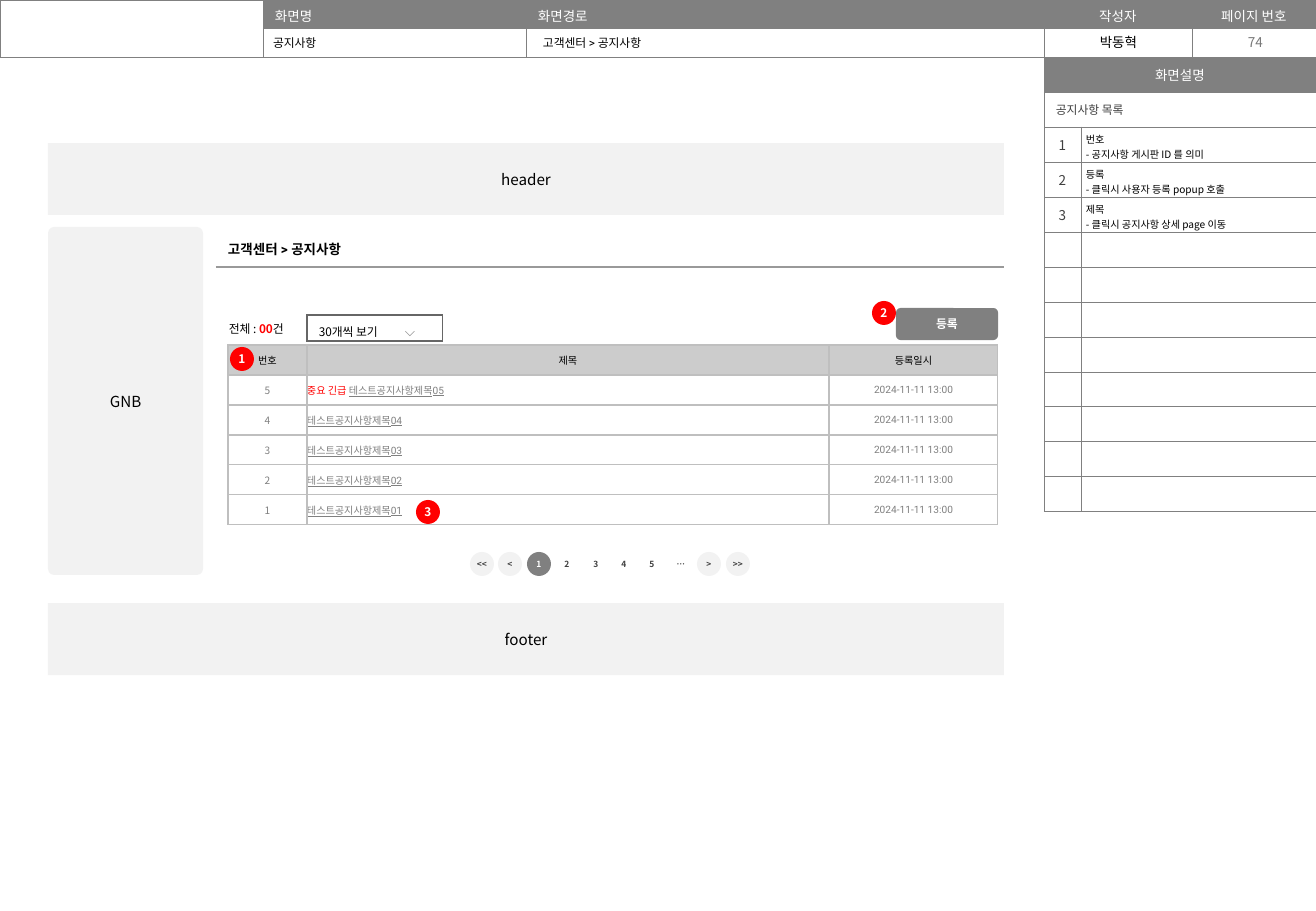
from lxml.etree import SubElement
from pptx import Presentation
from pptx.dml.color import RGBColor
from pptx.enum.shapes import MSO_SHAPE
from pptx.enum.text import MSO_ANCHOR, PP_ALIGN
from pptx.oxml.ns import qn
from pptx.util import Pt

PX = 7527
NOTO = "Noto Sans CJK KR"
ROBOTO = "Roboto"
COLORS = {
    "black": "000000", "white": "FFFFFF", "red": "FF0000", "bar": "808080",
    "panel": "F2F2F2", "dark": "404040", "number": "797979", "rule": "999999",
    "grid": "BFBFBF", "heading": "CCCCCC", "select": "666666", "chevron": "7F7F7F",
}
PAGER = ["<<", "<", "1", "2", "3", "4", "5", "⋯", ">", ">>"]
NOTES = [
    ("번호", "- 공지사항 게시판 ID 를 의미"),
    ("등록", "- 클릭시 사용자 등록 popup 호출"),
    ("제목", "- 클릭시 공지사항 상세 page 이동"),
]
MARKERS = [("2", 872, 301), ("3", 416, 500), ("1", 230, 347)]


def color_of(name):
    return RGBColor.from_string(COLORS[name])


def box_of(*lengths):
    return [length * PX for length in lengths]


def format_span(span, size, color="black", bold=False, font=NOTO, underline=False):
    span.font.size = Pt(size)
    span.font.name = font
    span.font.bold = bold
    span.font.underline = underline
    span.font.color.rgb = color_of(color)
    SubElement(span.font._element, qn("a:ea"), typeface=NOTO)


def write(para, text, size, align=PP_ALIGN.LEFT, **style):
    para.text = text
    para.alignment = align
    for span in para.runs:
        format_span(span, size, **style)


def add_span(para, text, size, **style):
    span = para.add_run()
    span.text = text
    format_span(span, size, **style)


def set_margins(target, left, top, right, bottom):
    target.margin_left, target.margin_top = left * PX, top * PX
    target.margin_right, target.margin_bottom = right * PX, bottom * PX


def set_fill(target, color):
    if color:
        target.fill.solid()
        target.fill.fore_color.rgb = color_of(color)
    else:
        target.fill.background()


def set_borders(cell, color, width, sides):
    properties = cell._tc.get_or_add_tcPr()
    for index, side in enumerate("LRTB"):
        for earlier in properties.findall(qn(f"a:ln{side}")):
            properties.remove(earlier)
        line = SubElement(properties, qn(f"a:ln{side}"), w=str(Pt(width)))
        if side in sides:
            solid = SubElement(line, qn("a:solidFill"))
            SubElement(solid, qn("a:srgbClr"), val=COLORS[color])
        else:
            SubElement(line, qn("a:noFill"))
        properties.insert(index, line)


def add_grid(page, left, top, columns, rows, color, width, sides="LRTB", margins=(12, 5, 12, 5)):
    frame = page.shapes.add_table(
        len(rows), len(columns), *box_of(left, top, sum(columns), sum(rows)))
    table = frame.table
    table.first_row = table.horz_banding = False
    for column, length in zip(table.columns, columns):
        column.width = length * PX
    for row, length in zip(table.rows, rows):
        row.height = length * PX
    for cell in table.iter_cells():
        set_fill(cell, None)
        set_borders(cell, color, width, sides)
        set_margins(cell, *margins)
        cell.vertical_anchor = MSO_ANCHOR.MIDDLE
        SubElement(cell.text_frame.paragraphs[0]._p, qn("a:endParaRPr"), sz="500")
    return table


def write_cell(cell, text, size, fill=None, **style):
    set_fill(cell, fill)
    write(cell.text_frame.paragraphs[0], text, size, **style)


def fill_label(box, text, left, width, size, **style):
    box.left, box.top, box.width, box.height = box_of(left, 28, width, 28)
    frame = box.text_frame
    frame.word_wrap = True
    frame.vertical_anchor = MSO_ANCHOR.MIDDLE
    set_margins(frame, 12, 1, 12, 0)
    write(frame.paragraphs[0], text, size, **style)


def add_label(page, text, left, width, size, **style):
    box = page.shapes.add_textbox(*box_of(left, 28, width, 28))
    fill_label(box, text, left, width, size, **style)


def add_block(shapes, text, bounds, size, fill, radius=0, margin=0, **style):
    block = shapes.add_shape(MSO_SHAPE.ROUNDED_RECTANGLE, *box_of(*bounds))
    block.adjustments[0] = radius
    block.shadow.inherit = False
    block.line.fill.background()
    set_fill(block, fill)
    frame = block.text_frame
    frame.word_wrap = True
    frame.vertical_anchor = MSO_ANCHOR.MIDDLE
    set_margins(frame, margin, margin, margin, margin)
    write(frame.paragraphs[0], text, size, align=PP_ALIGN.CENTER, **style)


def add_screen_info(page):
    table = add_grid(page, 0, 0, [263, 263, 518, 148, 124], [28, 29], "bar", 0.25,
                     margins=(12, 6, 12, 2))
    table.cell(0, 0).merge(table.cell(1, 0))
    for index, text in enumerate(["화면명", "화면경로", "작성자", "페이지 번호"], 1):
        align = PP_ALIGN.CENTER if index > 2 else PP_ALIGN.LEFT
        write_cell(table.cell(0, index), text, 8, "bar", color="white", align=align)
    fill_label(page.shapes.title, "공지사항", 261, 270, 7, font=ROBOTO)
    add_label(page, "고객센터 > 공지사항", 531, 512, 7, font=ROBOTO)
    add_label(page, "박동혁", 1044, 149, 8, align=PP_ALIGN.CENTER)
    add_label(page, "74", 1194, 123, 8, align=PP_ALIGN.CENTER, color="number")


def add_notes_table(page):
    table = add_grid(page, 1044, 57, [37, 235], [35] * 13, "bar", 0.25)
    for row in range(2):
        table.cell(row, 0).merge(table.cell(row, 1))
    write_cell(table.cell(0, 0), "화면설명", 8, "bar", color="white", align=PP_ALIGN.CENTER)
    write_cell(table.cell(1, 0), "공지사항 목록", 7, color="dark")
    for number, lines in enumerate(NOTES, 1):
        write_cell(table.cell(number + 1, 0), str(number), 8, color="dark", align=PP_ALIGN.CENTER)
        cell = table.cell(number + 1, 1)
        set_margins(cell, 5, 5, 5, 0)
        cell.vertical_anchor = MSO_ANCHOR.TOP
        cell.text_frame.text = "\n".join(lines)
        for para, line in zip(cell.text_frame.paragraphs, lines):
            write(para, line, 6)


def add_heading(page):
    table = add_grid(page, 216, 227, [394, 394], [40], "rule", 0.75, "B", (12, 12, 12, 8))
    write_cell(table.cell(0, 0), "고객센터 > 공지사항", 8, bold=True, font=ROBOTO)


def add_notice_table(page):
    table = add_grid(page, 228, 345, [79, 522, 169], [30] * 6, "grid", 0.75,
                     margins=(0, 0, 0, 0))
    for column, text in enumerate(["번호", "제목", "등록일시"]):
        write_cell(table.cell(0, column), text, 6, "heading", font=ROBOTO, align=PP_ALIGN.CENTER)
    for row in range(1, 6):
        number = 6 - row
        write_cell(table.cell(row, 0), str(number), 6, "white", color="bar", align=PP_ALIGN.CENTER)
        subject = table.cell(row, 1)
        set_fill(subject, "white")
        para = subject.text_frame.paragraphs[0]
        if row == 1:
            add_span(para, "중요 긴급 ", 6, color="red", font=ROBOTO)
        add_span(para, f"테스트공지사항제목{number:02}", 6, color="bar", font=ROBOTO, underline=True)
        write_cell(table.cell(row, 2), "2024-11-11 13:00", 6, "white", color="bar",
                   font=ROBOTO, align=PP_ALIGN.CENTER)


def add_list_options(page):
    table = add_grid(page, 217, 315, [90, 136], [26], "select", 0.75, margins=(12, 2, 0, 2))
    total, select = table.cell(0, 0), table.cell(0, 1)
    set_borders(total, "select", 0.75, "R")
    para = total.text_frame.paragraphs[0]
    add_span(para, "전체 : ", 7)
    add_span(para, "00", 7, color="red", bold=True)
    add_span(para, "건", 7)
    set_margins(select, 12, 5, 0, 0)
    para = select.text_frame.paragraphs[0]
    tabs = SubElement(para._p.get_or_add_pPr(), qn("a:tabLst"))
    SubElement(tabs, qn("a:tab"), pos=str(86 * PX), algn="l")
    add_span(para, "30개씩 보기\t", 7)
    add_span(para, "⌵", 8, color="chevron")


def add_pager(page):
    pager = page.shapes.add_group_shape()
    for index, text in enumerate(PAGER):
        current = text == "1"
        plain = text.isdigit() or text == "⋯"
        fill = "bar" if current else None if plain else "panel"
        add_block(pager.shapes, text, (470 + round(28.4 * index), 552, 24, 24), 5, fill,
                  radius=0.5 if fill else 0, color="white" if current else "dark", bold=True)


def main():
    deck = Presentation()
    deck.slide_width, deck.slide_height = box_of(1316, 911)
    page = deck.slides.add_slide(deck.slide_layouts[5])
    add_screen_info(page)
    add_notes_table(page)
    add_block(page.shapes, "header", (48, 143, 956, 72), 9, "panel", margin=12)
    add_block(page.shapes, "GNB", (48, 227, 155, 348), 9, "panel", radius=0.04, margin=12)
    add_block(page.shapes, "footer", (48, 603, 956, 72), 9, "panel", margin=12)
    add_heading(page)
    add_notice_table(page)
    add_list_options(page)
    add_pager(page)
    add_block(page.shapes, "등록", (896, 308, 102, 32), 7, "bar", radius=0.14,
              color="white", bold=True)
    for text, left, top in MARKERS:
        add_block(page.shapes, text, (left, top, 24, 24), 7, "red", radius=0.5,
                  color="white", bold=True)
    deck.save("out.pptx")


if __name__ == "__main__":
    main()
